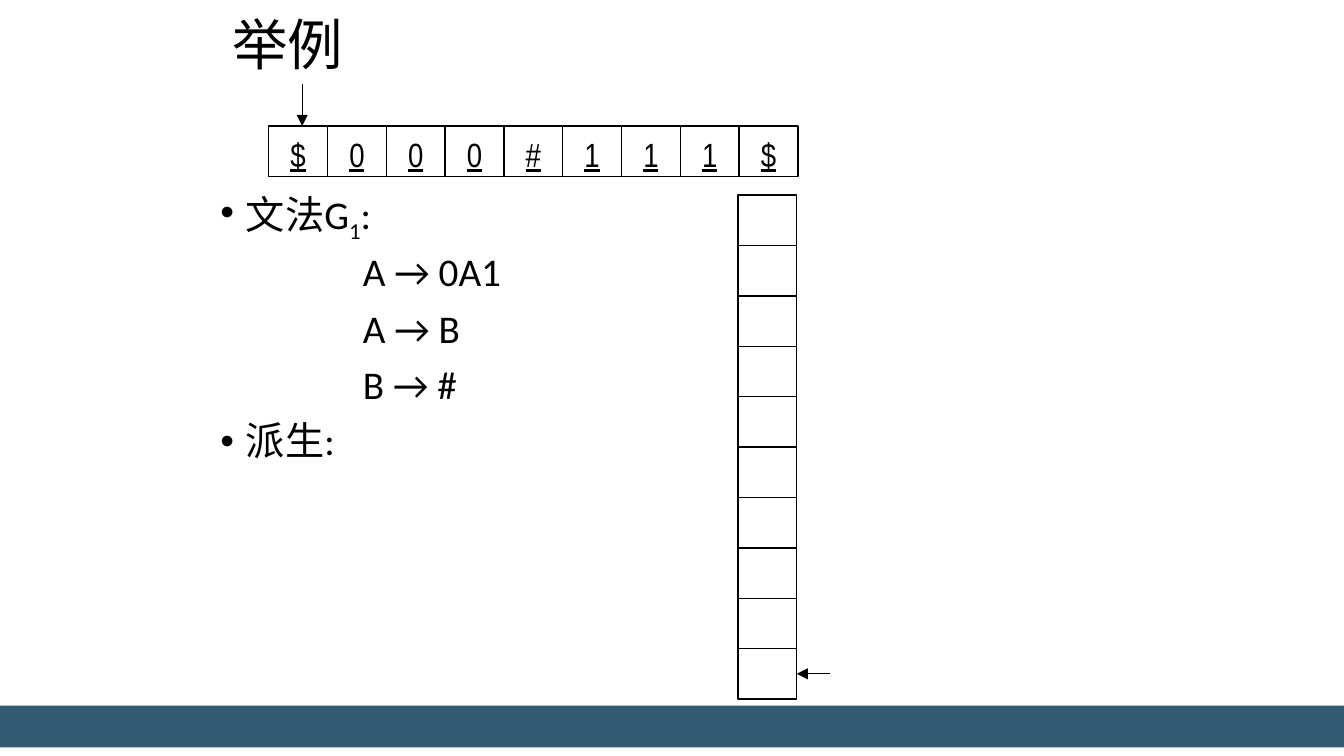
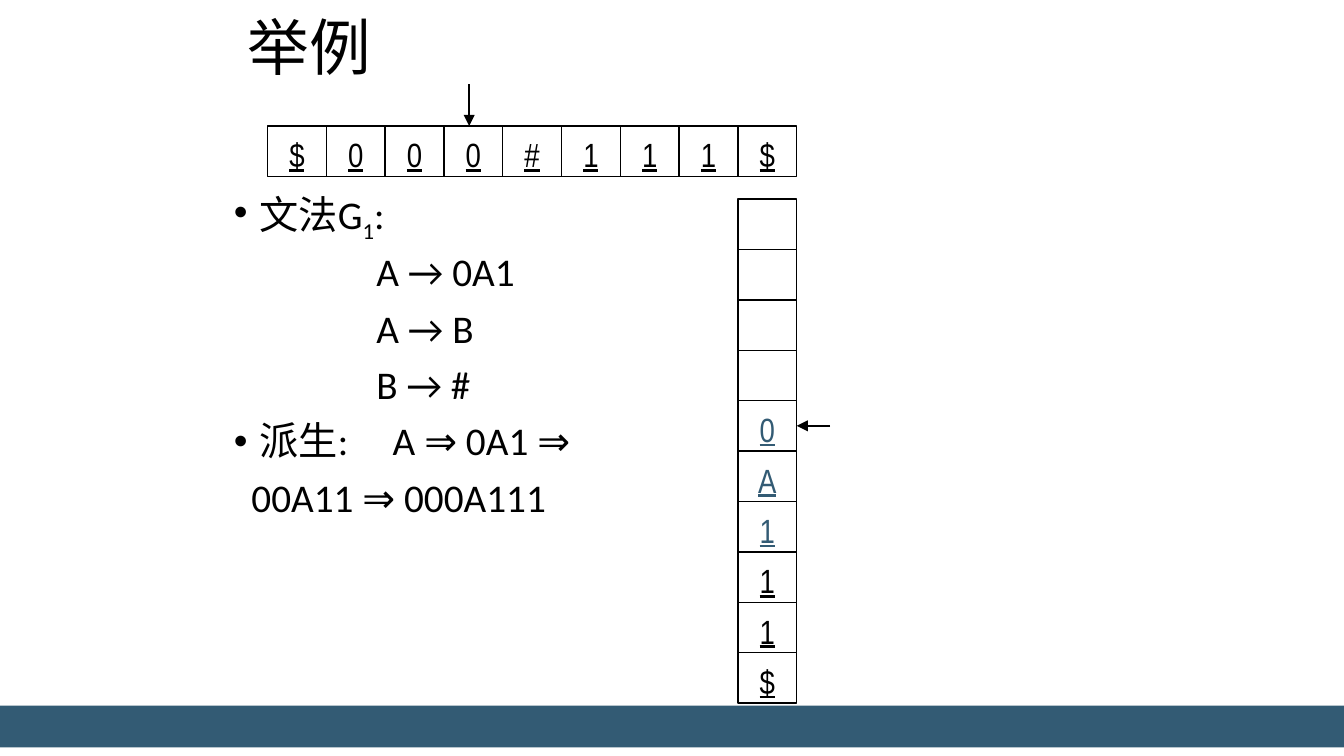
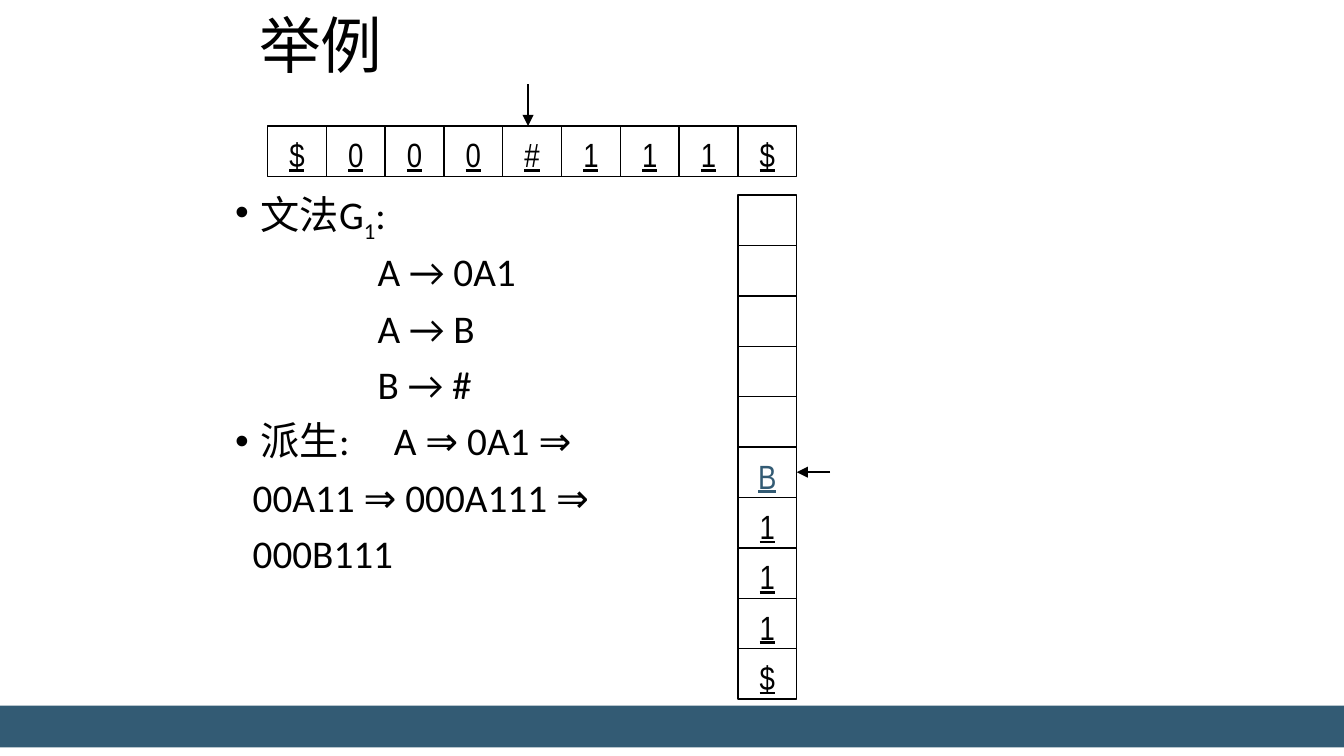
from dataclasses import dataclass
from pptx import Presentation
from pptx.dml.color import RGBColor
from pptx.enum.shapes import MSO_CONNECTOR, MSO_SHAPE
from pptx.enum.text import MSO_ANCHOR, PP_ALIGN
from pptx.oxml.ns import qn
from pptx.util import Inches, Pt
from lxml.etree import SubElement


@dataclass(frozen=True)
class Theme:
    ink: RGBColor = RGBColor(0, 0, 0)
    accent: RGBColor = RGBColor(0x33, 0x5B, 0x74)
    text_font: str = "Calibri"
    cell_font: str = "Arial Narrow"
    body_size: float = 21
    cell_size: float = 18
    line_width: float = 0.75


theme = Theme()
presentation = Presentation()
presentation.slide_width = Inches(10)
presentation.slide_height = Inches(5.625)
column = presentation.slide_width * 7 / 160
row = presentation.slide_height / 15


def format_run(run, size, font_name, color):
    run.font.size = Pt(size)
    run.font.name = font_name
    run.font.color.rgb = color


def add_arrow(slide, start_x, start_y, end_x, end_y):
    arrow = slide.shapes.add_connector(
        MSO_CONNECTOR.STRAIGHT,
        *(round(length) for length in (start_x * column, start_y * row, end_x * column, end_y * row)),
    )
    arrow.line.color.rgb = theme.ink
    arrow.line.width = Pt(theme.line_width)
    SubElement(arrow.line._get_or_add_ln(), qn("a:tailEnd"), type="triangle")
    SubElement(arrow._element.spPr, qn("a:effectLst"))


tape_symbols = "$000#111$"
tape_top = 2.5
stack_left = 12.55
stack_size = 10
rule_indent = Inches(1.06)
derivation_indent = Inches(0.13)
bullet_indent = Inches(0.19)

grammar = [
    (["文法G", "1", ":"], None),
    (["A → 0A1"], rule_indent),
    (["A → B"], rule_indent),
    (["B → #"], rule_indent),
]
derivation_start = (["派生:", " ", "A ⇒ 0A1 ⇒"], None)

steps = [
    dict(
        title_box=(3.79, 0.24, 14.58, 1.12), title_size=29.7,
        body_left=3.59, body_width=8.43,
        derivation=[(["派生:"], None)],
        tape_left=4.57, tape_pointer=0.57,
        stack_top=3.87, stack="", accents=0, stack_pointer=9,
    ),
    dict(
        title_box=(4.05, 0.24, 14.58, 2.5), title_size=33,
        body_left=3.82, body_width=8.43,
        derivation=[derivation_start, (["00A11 ⇒ 000A111"], derivation_indent)],
        tape_left=4.55, tape_pointer=3.43,
        stack_top=3.95, stack="0A111$", accents=3, stack_pointer=4,
    ),
    dict(
        title_box=(4.25, 0.19, 14.58, 2.5), title_size=33,
        body_left=3.84, body_width=8.94,
        derivation=[
            derivation_start,
            (["00A11 ⇒ 000A111 ⇒"], derivation_indent),
            (["000B111"], derivation_indent),
        ],
        tape_left=4.55, tape_pointer=4.43,
        stack_top=3.87, stack="B111$", accents=1, stack_pointer=5,
    ),
]

for step in steps:
    slide = presentation.slides.add_slide(presentation.slide_layouts[6])
    body_box = (step["body_left"], 3.68, step["body_width"], 10.16)
    frames = []
    for left, top, width, height in (step["title_box"], body_box):
        text_box = slide.shapes.add_textbox(
            round(left * column), round(top * row), round(width * column), round(height * row)
        )
        frame = text_box.text_frame
        frame.word_wrap = True
        frame.vertical_anchor = MSO_ANCHOR.TOP
        frame.margin_left = frame.margin_right = Inches(0.07)
        frame.margin_top = frame.margin_bottom = Inches(0.04)
        frames.append(frame)
    title_frame, body_frame = frames

    title_frame.text = "举例"
    title_paragraph = title_frame.paragraphs[0]
    title_paragraph.line_spacing = 0.9
    format_run(title_paragraph.runs[0], step["title_size"], theme.text_font, theme.ink)

    for index, (pieces, indent) in enumerate(grammar + step["derivation"]):
        paragraph = body_frame.add_paragraph() if index else body_frame.paragraphs[0]
        paragraph.line_spacing = 0.9
        paragraph.space_before = Pt(7.5)
        properties = paragraph._p.get_or_add_pPr()
        if indent is None:
            properties.set("marL", str(bullet_indent))
            properties.set("indent", str(-bullet_indent))
            SubElement(properties, qn("a:buFont"), typeface="Arial")
            SubElement(properties, qn("a:buChar"), char="•")
        else:
            properties.set("marL", str(indent))
            properties.set("indent", "0")
            SubElement(properties, qn("a:buNone"))
        for piece in pieces:
            run = paragraph.add_run()
            run.text = piece
            format_run(run, theme.body_size, theme.text_font, theme.ink)
            if piece == "1":
                run.font._element.set("baseline", "-25000")
            if piece == " ":
                run.font._element.set("spc", "1900")

    cells = [
        (step["tape_left"] + index, tape_top, symbol, theme.ink)
        for index, symbol in enumerate(tape_symbols)
    ]
    empty_count = stack_size - len(step["stack"])
    for index, symbol in enumerate([""] * empty_count + list(step["stack"])):
        color = theme.accent if index < empty_count + step["accents"] else theme.ink
        cells.append((stack_left, step["stack_top"] + index, symbol, color))

    for left, top, symbol, color in cells:
        cell = slide.shapes.add_shape(
            MSO_SHAPE.RECTANGLE, round(left * column), round(top * row), round(column), round(row)
        )
        cell.shadow.inherit = False
        cell.fill.background()
        cell.line.color.rgb = theme.ink
        cell.line.width = Pt(theme.line_width)
        if symbol:
            frame = cell.text_frame
            frame.margin_left = frame.margin_right = frame.margin_bottom = 0
            frame.margin_top = Inches(0.05)
            frame.vertical_anchor = MSO_ANCHOR.MIDDLE
            frame.text = symbol
            paragraph = frame.paragraphs[0]
            paragraph.alignment = PP_ALIGN.CENTER
            format_run(paragraph.runs[0], theme.cell_size, theme.cell_font, color)
            paragraph.runs[0].font.underline = True

    pointer_x = step["tape_left"] + step["tape_pointer"]
    add_arrow(slide, pointer_x, 1.67, pointer_x, tape_top)
    pointer_y = step["stack_top"] + step["stack_pointer"] + 0.5
    add_arrow(slide, stack_left + 1.57, pointer_y, stack_left + 1, pointer_y)

    band = slide.shapes.add_shape(
        MSO_SHAPE.RECTANGLE, 0, round(14 * row), presentation.slide_width, round(0.83 * row)
    )
    band.shadow.inherit = False
    band.fill.solid()
    band.fill.fore_color.rgb = theme.accent
    band.line.fill.background()

presentation.save("out.pptx")
